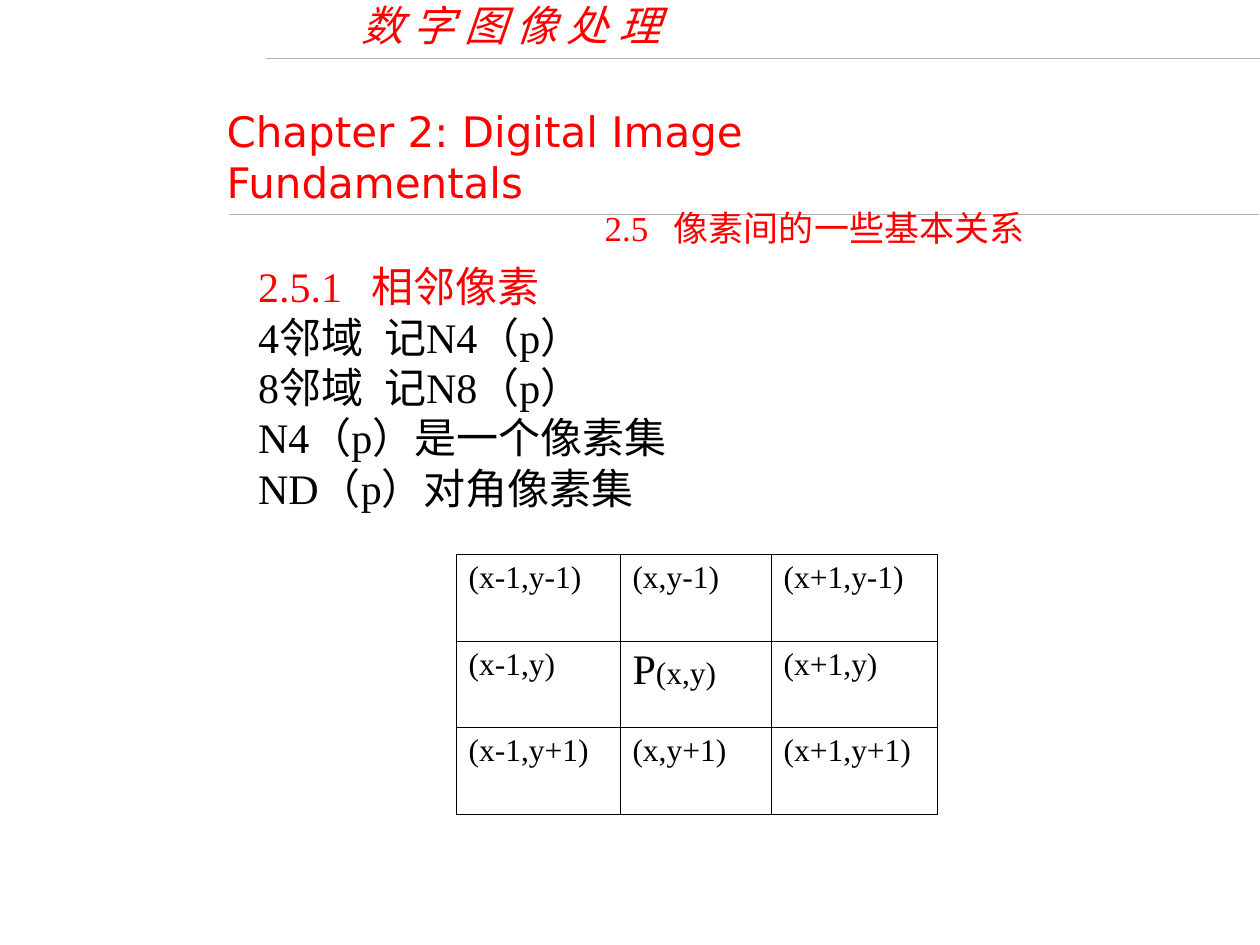
from lxml import etree
from pptx import Presentation
from pptx.dml.color import RGBColor
from pptx.enum.shapes import MSO_CONNECTOR
from pptx.enum.text import MSO_ANCHOR
from pptx.oxml import parse_xml
from pptx.oxml.ns import nsdecls, qn
from pptx.util import Inches, Pt

STRAIGHT = MSO_CONNECTOR.STRAIGHT
TOP, MIDDLE = MSO_ANCHOR.TOP, MSO_ANCHOR.MIDDLE
COLORS = {"red": "FF0000", "black": "000000", "rule": "B2B2B2", "shade": "808080"}
SERIF, SANS, TITLE = "Times New Roman", "DejaVu Sans", "Vollkorn"


class Board:
    """Holds the style and the current slide."""

    def __init__(self, deck):
        self.slide = deck.slides.add_slide(deck.slide_layouts[6])

    def rule(self, left, right, y):
        line = self.slide.shapes.add_connector(
            STRAIGHT, Inches(right), Inches(y), Inches(left), Inches(y))
        line.line.color.rgb = RGBColor.from_string(COLORS["rule"])
        line.line.width = Pt(0.25)
        etree.SubElement(line._element.spPr, qn("a:effectLst"))

    def style(self, run, size, font=SERIF, color="black", italic=False, shade=False):
        run.font.size = Pt(size)
        run.font.name = font
        run.font.color.rgb = RGBColor.from_string(COLORS[color])
        if italic:
            run.font.italic = True
        if shade:
            fill = run._r.rPr.find(qn("a:solidFill"))
            fill.addnext(parse_xml(
                f'<a:effectLst {nsdecls("a")}><a:outerShdw dist="25400" dir="2700000">'
                f'<a:srgbClr val="{COLORS["shade"]}"/></a:outerShdw></a:effectLst>'))

    def tabs(self, para, stops):
        group = etree.SubElement(para._p.get_or_add_pPr(), qn("a:tabLst"))
        for stop in stops:
            etree.SubElement(group, qn("a:tab"), pos=str(Inches(stop)), algn="l")

    def text(self, box, items, anchor=TOP, wrap=True):
        frame = self.slide.shapes.add_textbox(*map(Inches, box)).text_frame
        frame.word_wrap = wrap
        frame.vertical_anchor = anchor
        frame.text = "\n".join(words for words, _, _ in items)
        for para, (_, stops, look) in zip(frame.paragraphs, items):
            if stops:
                self.tabs(para, stops)
            for run in para.runs:
                self.style(run, **look)

    def border(self, cell):
        props = cell._tc.get_or_add_tcPr()
        for spot, side in enumerate(("lnL", "lnR", "lnT", "lnB")):
            props.insert(spot, parse_xml(
                f'<a:{side} {nsdecls("a")} w="5715"><a:solidFill>'
                f'<a:srgbClr val="{COLORS["black"]}"/></a:solidFill></a:{side}>'))

    def table(self, box, widths, rows):
        grid = self.slide.shapes.add_table(
            len(rows), len(widths), *map(Inches, box)).table
        grid.first_row = grid.horz_banding = False
        for col, width in zip(grid.columns, widths):
            col.width = Inches(width)
        for r, row in enumerate(rows):
            for c, parts in enumerate(row):
                cell = grid.cell(r, c)
                cell.fill.background()
                self.border(cell)
                para = cell.text_frame.paragraphs[0]
                for words, size in parts:
                    run = para.add_run()
                    run.text = words
                    self.style(run, size)


def main():
    deck = Presentation()
    deck.slide_width, deck.slide_height = Inches(10), Inches(7.5)
    board = Board(deck)
    board.rule(1.82, 9.99, 1.7)
    board.rule(2.11, 10, 0.46)

    head = {"color": "red", "shade": True}
    board.text((2.77, -0.05, 2.57, 0.5), [
        ("数 字 图 像 处 理", [], {"size": 24, "font": TITLE, "italic": True, **head}),
    ], wrap=False)
    board.text((1.7, 0.79, 6.53, 0.9), [
        ("Chapter 2: Digital Image Fundamentals", [], {"size": 24, "font": SANS, **head}),
        ("\t2.5\t像素间的一些基本关系", [3, 3.55], {"size": 20, **head}),
    ])

    plain = {"size": 24}
    board.text((1.95, 2.02, 5.51, 2.1), [
        ("2.5.1\t相邻像素", [0.9], {"size": 24, "color": "red"}),
        ("4邻域\t记N4（p）", [1], plain),
        ("8邻域\t记N8（p）", [1], plain),
        ("N4（p）是一个像素集", [], plain),
        ("ND（p）对角像素集", [], plain),
    ], MIDDLE)

    rows = [[[(f"({x},{y})", 18)] for x in ("x-1", "x", "x+1")]
            for y in ("y-1", "y", "y+1")]
    rows[1][1].insert(0, ("P", 24))
    board.table((3.62, 4.4, 3.82, 2.06), (1.3, 1.2, 1.32), rows)
    deck.save("out.pptx")


if __name__ == "__main__":
    main()
